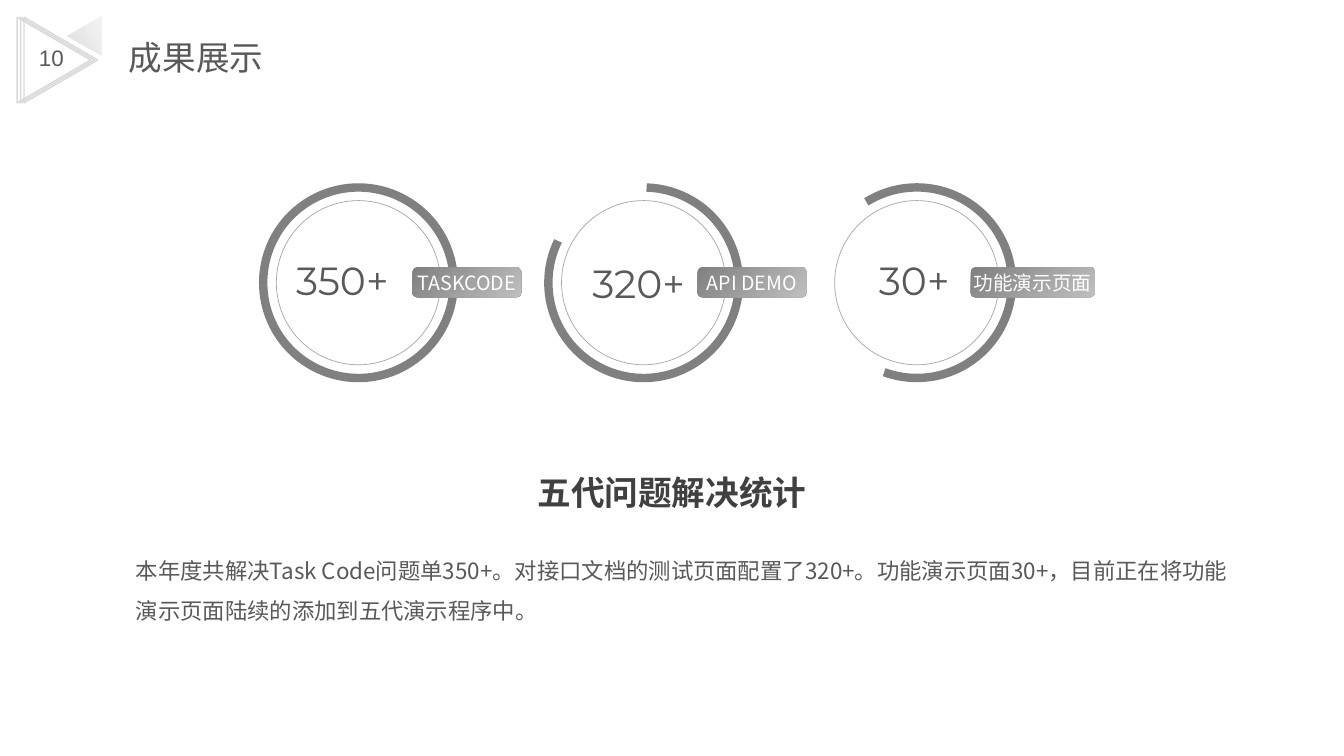
from pptx import Presentation
from pptx.dml.color import RGBColor
from pptx.enum.shapes import MSO_SHAPE as Preset
from pptx.enum.text import MSO_ANCHOR as Anchor, MSO_AUTO_SIZE as AutoSize, PP_ALIGN as Align
from pptx.oxml.ns import qn
from pptx.util import Pt
from lxml.etree import SubElement

WHITE = RGBColor(0xFF, 0xFF, 0xFF)
MIST = RGBColor(0xF2, 0xF2, 0xF2)
PALE = RGBColor(0xD9, 0xD9, 0xD9)
SILVER = RGBColor(0xBF, 0xBF, 0xBF)
RING = RGBColor(0xA6, 0xA6, 0xA6)
GREY = RGBColor(0x80, 0x80, 0x80)
TEXT = RGBColor(0x59, 0x59, 0x59)
DARK = RGBColor(0x40, 0x40, 0x40)
CJK = "Noto Sans CJK SC"

# value, value box (dx, dy, width), label, label width, arc start and end in degrees
DIALS = [
    (188, "350+", (9.4, 45.4, 94.3), "TASKCODE", 77.8, 273.7, 273.68),
    (391.7, "320+", (20.2, 47.5, 88.6), "API DEMO", 77.8, 271.78, 206.05),
    (586.8, "30+", (29.5, 45.4, 73.4), "功能演示页面", 88.6, 238.05, 110.03),
]
SUMMARY = ("本年度共解决Task Code问题单350+。对接口文档的测试页面配置了320+。"
           "功能演示页面30+，目前正在将功能演示页面陆续的添加到五代演示程序中。")


def place(shape, left, top, width, height):
    shape.left, shape.top = Pt(left), Pt(top)
    shape.width, shape.height = Pt(width), Pt(height)


def write(shape, text, size, color=TEXT, font=CJK, align=Align.CENTER,
          wrap=True, grow=True, inset=None, anchor=Anchor.TOP):
    """Fill a shape with one formatted paragraph and return the paragraph."""
    frame = shape.text_frame
    frame.text = text
    frame.word_wrap = wrap
    frame.auto_size = AutoSize.SHAPE_TO_FIT_TEXT if grow else AutoSize.NONE
    frame.vertical_anchor = anchor
    if inset is not None:
        frame.margin_left = frame.margin_right = Pt(inset)
        frame.margin_top = frame.margin_bottom = Pt(inset)
    paragraph = frame.paragraphs[0]
    paragraph.alignment = align
    paragraph.font.size = Pt(size)
    paragraph.font.name = font
    paragraph.font.color.rgb = color
    # East Asian characters need their own typeface
    properties = paragraph.runs[0].font._element
    SubElement(properties, qn("a:ea"), typeface=CJK)
    return paragraph


def add_text(slide, left, top, width, height, text, size, **style):
    box = slide.shapes.add_textbox(Pt(left), Pt(top), Pt(width), Pt(height))
    return write(box, text, size, **style)


def add_outline(slide, preset, left, top, width, height, color, weight):
    shape = slide.shapes.add_shape(preset, Pt(left), Pt(top), Pt(width), Pt(height))
    shape.shadow.inherit = False
    shape.fill.background()
    shape.line.color.rgb = color
    shape.line.width = Pt(weight)
    return shape


def add_gradient(slide, preset, left, top, width, height, colors, angle):
    shape = slide.shapes.add_shape(preset, Pt(left), Pt(top), Pt(width), Pt(height))
    shape.shadow.inherit = False
    shape.line.fill.background()
    shape.fill.gradient()
    shape.fill.gradient_angle = angle
    for stop, color in zip(shape.fill.gradient_stops, colors):
        stop.color.rgb = color
    return shape


def add_header(slide, left, top, number, title):
    # Stacked triangles and the page number
    for step in (5, 2.5, 0):
        triangle = add_outline(slide, Preset.ISOSCELES_TRIANGLE,
                               left + step, top, 61.2, 52.6, PALE, 1)
        triangle.rotation = 90
    accent = add_gradient(slide, Preset.ISOSCELES_TRIANGLE, left + 43.9, top,
                          28.8, 24.5, (MIST, PALE), 0)
    accent.rotation = 150
    first_color = accent._element.spPr.findall(".//" + qn("a:srgbClr"))[0]
    SubElement(first_color, qn("a:alpha"), val="54000")
    add_text(slide, left + 11.5, top + 11.5, 34.6, 26.6, number, 16,
             font="Arial", wrap=False)
    # Title
    place(slide.shapes.title, left + 77, top + 6.5, 111.6, 36)
    write(slide.shapes.title, title, 24, font="Arial", align=Align.LEFT, wrap=False)


def add_dial(slide, left, top, value, value_box, label, label_width, start, end):
    size, gap = 136.1, 9.4
    inner = size - 2 * gap
    add_outline(slide, Preset.OVAL, left + gap, top + gap, inner, inner, RING, 0.5)
    arc = add_outline(slide, Preset.ARC, left, top, size, size, GREY, 6)
    for index, degrees in enumerate((start, end)):
        arc.adjustments[index] = degrees * 0.6
    # Value
    dx, dy, width = value_box
    add_text(slide, left + dx, top + dy, width, 41, value, 28, font="Montserrat")
    # Label
    tag = add_gradient(slide, Preset.ROUNDED_RECTANGLE, left + 106.5, top + 56.9,
                       label_width, 21.6, (GREY, SILVER), 315)
    write(tag, label, 14, color=WHITE, grow=False, inset=0, anchor=Anchor.MIDDLE)


def add_summary(slide, left, top, width):
    heading = add_text(slide, left + 270, top, 239.8, 28.8, "五代问题解决统计", 24,
                       color=DARK, inset=0)
    heading.font.bold = True
    body = add_text(slide, left, top + 47.5, width, 61.9, SUMMARY, 16, align=Align.LEFT)
    body.line_spacing = 1.5


def main():
    presentation = Presentation()
    presentation.slide_width, presentation.slide_height = Pt(960), Pt(540)
    slide = presentation.slides.add_slide(presentation.slide_layouts[5])
    add_header(slide, 7.9, 16.6, "10", "成果展示")
    for left, *dial in DIALS:
        add_dial(slide, left, 133.9, *dial)
    add_summary(slide, 90, 337, 801.4)
    presentation.save("out.pptx")


if __name__ == "__main__":
    main()
